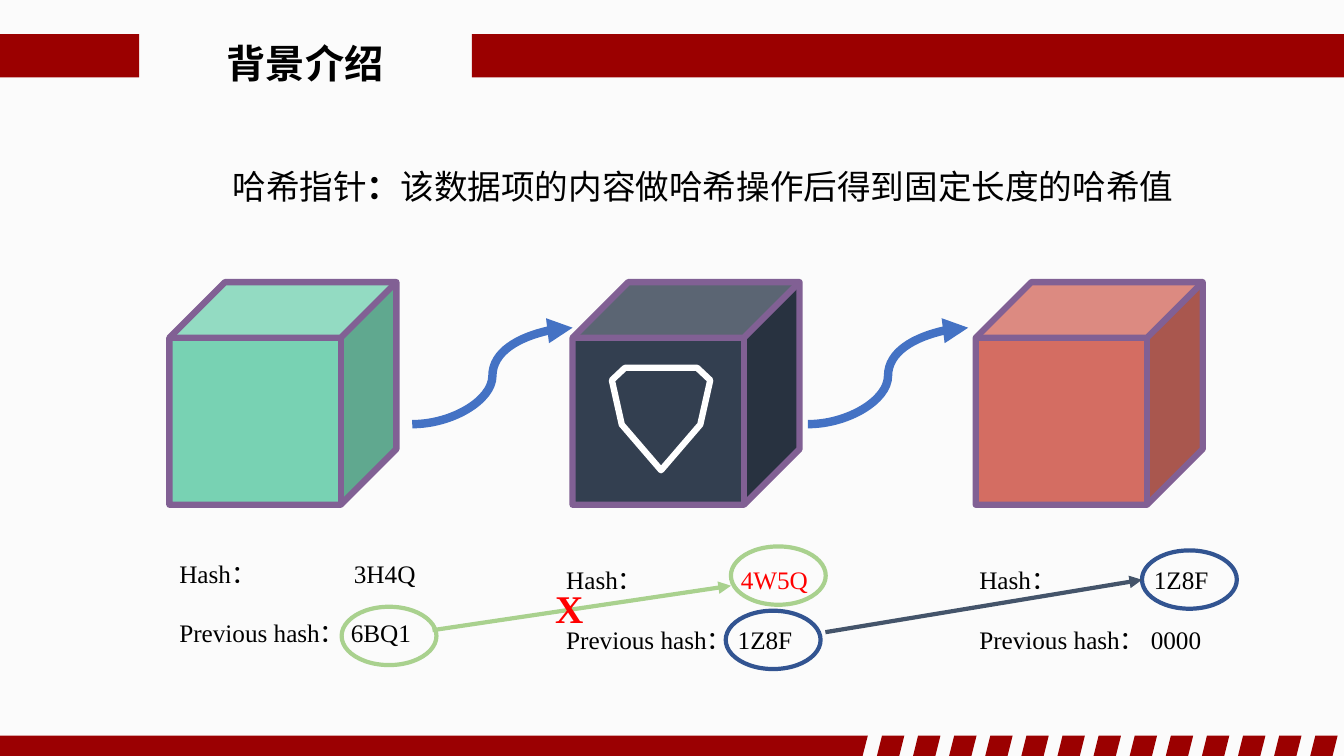
import lxml.etree
import pptx
import pptx.dml.color
import pptx.enum.shapes
import pptx.enum.text
import pptx.oxml.ns
import pptx.util

Cm, Pt = pptx.util.Cm, pptx.util.Pt
PRESET = pptx.enum.shapes.MSO_SHAPE
CONNECTOR = pptx.enum.shapes.MSO_CONNECTOR

COLOURS = {
    "background": "FBFBFB", "band": "9B0000", "footer": "9B0002",
    "text": "000000", "alert": "FF0000", "edge": "816094",
    "first block": "78D2B3", "tampered block": "333F50", "last block": "D46D62",
    "chain": "4472C4", "valid": "325491", "valid link": "44546A",
    "broken": "A9D18E", "emblem": "FFFFFF",
}


def rgb(name):
    return pptx.dml.color.RGBColor.from_string(COLOURS[name])


def add_xml(parent, tag, **attributes):
    return lxml.etree.SubElement(parent, pptx.oxml.ns.qn(tag), attributes)


class SlideBuilder:
    """Draws on one slide in one style; all lengths are in centimetres."""

    font = "Times New Roman"

    def __init__(self, slide):
        self.slide = slide
        slide.background.fill.solid()
        slide.background.fill.fore_color.rgb = rgb("background")

    def paint(self, shape, fill, line, width):
        shape.shadow.inherit = False
        if fill:
            shape.fill.solid()
            shape.fill.fore_color.rgb = rgb(fill)
        else:
            shape.fill.background()
        if line:
            shape.line.color.rgb = rgb(line)
            shape.line.width = Pt(width)
        else:
            shape.line.fill.background()

    def shape(self, preset, left, top, width, height, fill=None, line=None, weight=3):
        shape = self.slide.shapes.add_shape(preset, Cm(left), Cm(top), Cm(width), Cm(height))
        self.paint(shape, fill, line, weight)

    def outline(self, points, fill=None, line=None, weight=3):
        corners = [(Cm(x), Cm(y)) for x, y in points]
        builder = self.slide.shapes.build_freeform(*corners[0])
        builder.add_line_segments(corners[1:], close=True)
        self.paint(builder.convert_to_shape(), fill, line, weight)

    def arrow(self, kind, start, end, colour, weight):
        arrow = self.slide.shapes.add_connector(kind, *map(Cm, start + end))
        arrow.line.color.rgb = rgb(colour)
        arrow.line.width = Pt(weight)
        add_xml(arrow.line._ln, "a:tailEnd", type="triangle")
        add_xml(arrow._element.spPr, "a:effectLst")

    def text(self, left, top, width, height, paragraphs, size,
             centred=False, wrap=True, gap=0, tab=None):
        """Each paragraph is a list of (text, colour, bold) runs."""
        box = self.slide.shapes.add_textbox(Cm(left), Cm(top), Cm(width), Cm(height))
        frame = box.text_frame
        frame.word_wrap = wrap
        for index, runs in enumerate(paragraphs):
            paragraph = frame.add_paragraph() if index else frame.paragraphs[0]
            if centred:
                paragraph.alignment = pptx.enum.text.PP_ALIGN.CENTER
            if index:
                paragraph.space_before = Pt(gap)
            if tab:
                stops = add_xml(paragraph._p.get_or_add_pPr(), "a:tabLst")
                add_xml(stops, "a:tab", pos=str(Cm(tab)), algn="l")
            for words, colour, bold in runs:
                run = paragraph.add_run()
                run.text = words
                run.font.name = self.font
                run.font.size = Pt(size)
                run.font.bold = bold
                run.font.color.rgb = rgb(colour)

    def hashes(self, left, top, own, previous, own_colour="text"):
        self.text(left, top, 7.49, 2.57, [
            [("Hash：\t", "text", False), (own, own_colour, False)],
            [("Previous hash： " + previous, "text", False)],
        ], 18, gap=21, tab=4.4)


def main():
    deck = pptx.Presentation()
    deck.slide_width, deck.slide_height = Cm(33.87), Cm(19.05)
    page = SlideBuilder(deck.slides.add_slide(deck.slide_layouts[6]))

    # Header and footer
    for left, width in ((0, 3.51), (11.89, 21.98)):
        page.shape(PRESET.RECTANGLE, left, 0.86, width, 1.09, "band")
    page.text(3.78, 0.86, 7.82, 1.45, [[("背景介绍", "text", True)]], 28, centred=True)
    page.outline([(0, 18.54), (21.87, 18.54), (21.74, 19.05), (0, 19.05)], "footer")
    for stripe in range(13):
        page.shape(PRESET.PARALLELOGRAM, 22.1 + 0.91 * stripe, 18.54, 0.69, 0.51, "band")

    page.text(5.61, 4.06, 25.35, 1.27, [[
        ("哈希指针", "text", False),
        ("：", "text", True),
        ("该数据项的内容做哈希操作后得到固定长度的哈希值", "text", False),
    ]], 24)

    # Chain of blocks
    for index, block in enumerate(("first block", "tampered block", "last block")):
        page.shape(PRESET.CUBE, 4.27 + 10.16 * index, 7.11, 5.72, 5.61, block, "edge", 4.5)
    for left in (10.39, 20.36):
        page.arrow(CONNECTOR.CURVE, (left, 10.69), (left + 4.04, 8.26), "chain", 6)
    page.outline([(15.75, 9.27), (17.57, 9.27), (17.9, 9.58), (17.65, 10.7),
                  (16.66, 11.85), (15.67, 10.7), (15.42, 9.58)], line="emblem", weight=4.5)

    # Hash values and the pointers between them
    page.hashes(4.27, 13.94, "3H4Q", "6BQ1")
    page.hashes(14.02, 14.1, "4W5Q", "1Z8F", "alert")
    page.hashes(24.43, 14.1, "1Z8F", "0000")
    for left, top, state in ((18.29, 15.39, "valid"), (28.78, 13.87, "valid"),
                             (8.61, 15.29, "broken"), (18.42, 13.77, "broken")):
        page.shape(PRESET.OVAL, left, top, 2.39, 1.47, line=state)
    page.arrow(CONNECTOR.STRAIGHT, (20.8, 15.93), (28.78, 14.61), "valid link", 3)
    page.arrow(CONNECTOR.STRAIGHT, (10.9, 15.88), (18.42, 14.76), "broken", 3)
    page.text(13.74, 14.6, 1.24, 1.45, [[("X", "alert", True)]], 28, wrap=False)

    deck.save("out.pptx")


if __name__ == "__main__":
    main()
